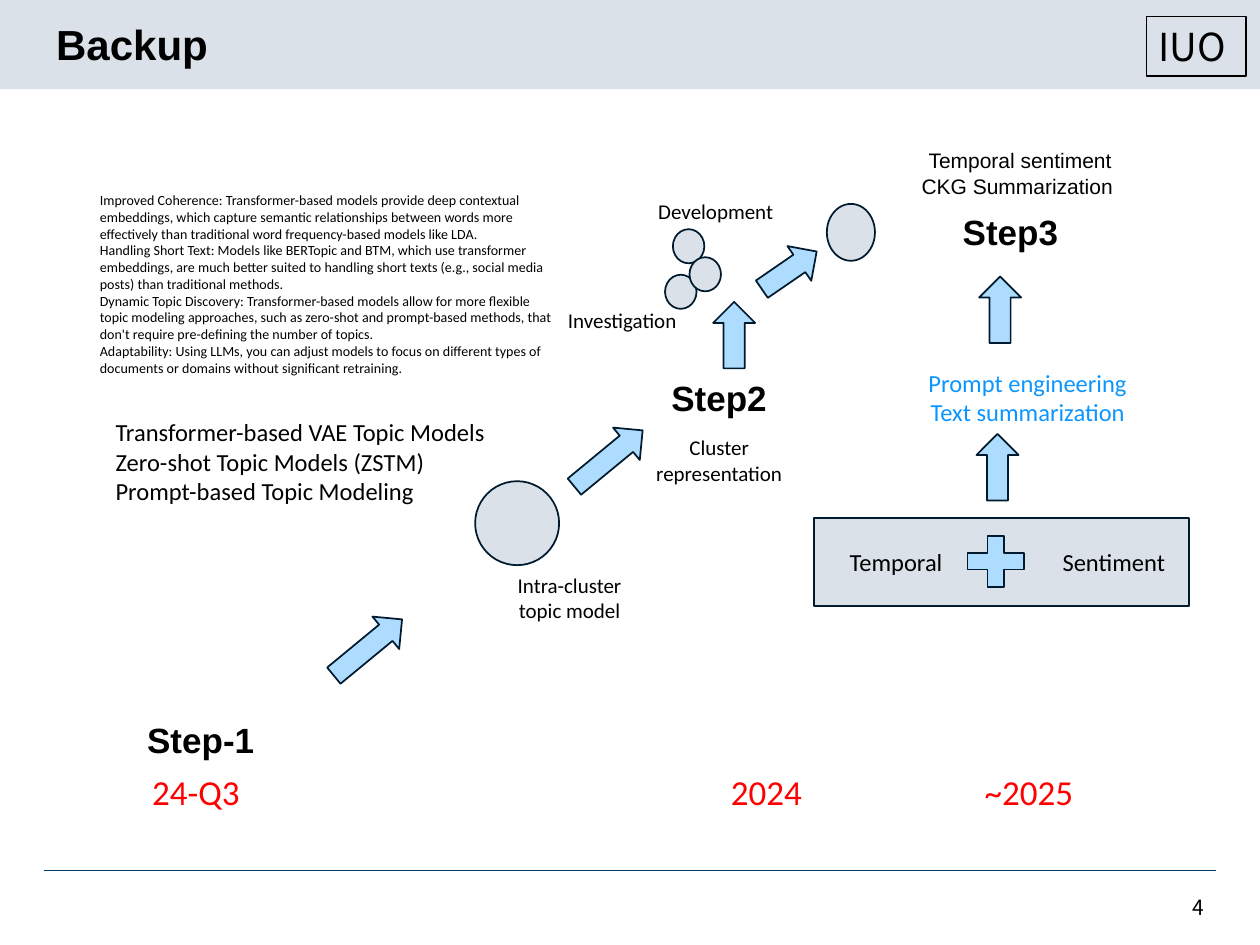
from pptx import Presentation
from pptx.dml.color import RGBColor
from pptx.enum import shapes, text
from pptx.util import Pt

COLORS = {
    "band": "DAE1E8", "outline": "001A2E", "arrow": "AEDCFF", "rule": "003B68",
    "ink": "000000", "date": "FF0000", "accent": "0B96FF",
}
SHAPE = shapes.MSO_SHAPE
LEFT, CENTER, RIGHT = text.PP_ALIGN.LEFT, text.PP_ALIGN.CENTER, text.PP_ALIGN.RIGHT

ADVANTAGES = [
    "Improved Coherence: Transformer-based models provide deep contextual embeddings, which capture "
    "semantic relationships between words more effectively than traditional word frequency-based "
    "models like LDA.",
    "Handling Short Text: Models like BERTopic and BTM, which use transformer embeddings, are much "
    "better suited to handling short texts (e.g., social media posts) than traditional methods.",
    "Dynamic Topic Discovery: Transformer-based models allow for more flexible topic modeling "
    "approaches, such as zero-shot and prompt-based methods, that don't require pre-defining the "
    "number of topics.",
    "Adaptability: Using LLMs, you can adjust models to focus on different types of documents or "
    "domains without significant retraining.",
]


def rgb(name):
    return RGBColor.from_string(COLORS[name])


def place(box, left, top, width, height):
    """Turn a position relative to the region's corner into slide lengths."""
    return [Pt(value) for value in (box[0] + left, box[1] + top, width, height)]


def add_text(page, box, at, lines, size, font="Calibri", color="ink", bold=False,
             align=CENTER, wrap=True, middle=False):
    label = page.shapes.add_textbox(*place(box, *at))
    frame = label.text_frame
    frame.word_wrap = wrap
    if middle:
        frame.vertical_anchor = text.MSO_ANCHOR.MIDDLE
    frame.text = "\n".join(lines)
    for para in frame.paragraphs:
        para.alignment = align
        for span in para.runs:
            span.font.size = Pt(size)
            span.font.name = font
            span.font.bold = bold
            span.font.color.rgb = rgb(color)
    return label


def add_step(page, box, left, top, name, width=70):
    add_text(page, box, (left, top, width, 31.5), [name], 20, "Arial",
             bold=True, align=LEFT, wrap=False)


def add_figure(page, box, kind, at, fill="band", line="outline", weight=1):
    figure = page.shapes.add_shape(kind, *place(box, *at))
    figure.shadow.inherit = False
    if fill:
        figure.fill.solid()
        figure.fill.fore_color.rgb = rgb(fill)
    else:
        figure.fill.background()
    if line:
        figure.line.color.rgb = rgb(line)
        figure.line.width = Pt(weight)
    else:
        figure.line.fill.background()
    return figure


def add_arrow(page, box, left, top, angle=270, length=38):
    arrow = add_figure(page, box, SHAPE.RIGHT_ARROW, (left, top, length, 24), "arrow")
    arrow.rotation = angle


def add_header(page, box):
    add_figure(page, box, SHAPE.RECTANGLE, (0, 0, 720, 51), line=None)
    stamp = (655, 9.5, 57, 34)
    add_figure(page, box, SHAPE.RECTANGLE, stamp, None, "ink", 0.75)
    add_text(page, box, stamp, ["IUO"], 22, "Noto Sans CJK JP", align=LEFT, wrap=False)
    title = add_text(page, box, (25, 13.5, 646.5, 26), ["Backup"], 24, "Arial",
                     bold=True, align=LEFT, middle=True)
    title.text_frame.margin_top = title.text_frame.margin_bottom = 0
    title.text_frame.paragraphs[0].line_spacing = 0.9


def add_footer(page, box):
    left, top = box
    rule = page.shapes.add_connector(shapes.MSO_CONNECTOR.STRAIGHT,
                                     Pt(left), Pt(top), Pt(left + 670), Pt(top))
    rule.line.color.rgb = rgb("rule")
    rule.line.width = Pt(1)
    properties = rule.line._get_or_add_ln().getparent()
    properties.append(properties.makeelement(
        "{http://schemas.openxmlformats.org/drawingml/2006/main}effectLst", {}))
    add_text(page, box, (632.5, 6.5, 37.5, 29), ["4"], 12, "Noto Sans CJK JP",
             align=RIGHT, middle=True)


def add_topic_models(page, box):
    add_text(page, box, (0, 0, 276.5, 114), ADVANTAGES, 8, align=LEFT)
    add_text(page, box, (9, 129, 238, 58),
             ["Transformer-based VAE Topic Models", "Zero-shot Topic Models (ZSTM)",
              "Prompt-based Topic Modeling"], 14, align=LEFT)
    add_figure(page, box, SHAPE.OVAL, (221.5, 169, 48, 48))
    add_text(page, box, (233.5, 217.5, 84, 36), ["Intra-cluster topic model"], 12)
    for left, top in ((135, 252), (272.5, 144)):
        add_arrow(page, box, left, top, 320.5, 50.5)
    add_step(page, box, 27, 301, "Step-1", 76)


def add_clusters(page, box):
    add_text(page, box, (59, 0, 84, 22), ["Development"], 12)
    for left, top in ((76.5, 21), (72, 47), (86, 37)):
        add_figure(page, box, SHAPE.OVAL, (left, top, 18, 19.5))
    add_figure(page, box, SHAPE.OVAL, (164.5, 6.5, 27.5, 32.5))
    add_text(page, box, (0, 62, 95, 22), ["Investigation"], 12)
    add_arrow(page, box, 92.5, 69.5)
    add_arrow(page, box, 124, 32.5, 325.5)
    add_step(page, box, 68.5, 101.5, "Step2")
    add_text(page, box, (55.5, 135, 95, 36), ["Cluster representation"], 12)


def add_summarization(page, box):
    add_text(page, box, (49.5, 0, 139, 36), ["Temporal sentiment", "CKG Summarization "],
             12, "Arial")
    add_step(page, box, 79, 35.5, "Step3")
    add_arrow(page, box, 88.5, 84)
    add_text(page, box, (49.5, 125.5, 147.5, 41),
             ["Prompt engineering", "Text summarization"], 14, color="accent")
    add_arrow(page, box, 87, 174)
    add_figure(page, box, SHAPE.RECTANGLE, (1, 215, 214.5, 50.5))
    add_text(page, box, (0.5, 228, 95, 24.5), ["Temporal"], 14)
    add_figure(page, box, SHAPE.MATH_PLUS, (83, 220, 44, 39.5), "arrow")
    add_text(page, box, (128, 228, 89, 24.5), ["Sentiment"], 14)


def add_timeline(page, box):
    for left, date in ((0, "24-Q3"), (326, "2024"), (476, "~2025")):
        add_text(page, box, (left, 0, 70, 31.5), [date], 20, color="date")


def main():
    deck = Presentation()
    deck.slide_width, deck.slide_height = Pt(720), Pt(540)
    page = deck.slides.add_slide(deck.slide_layouts[6])
    add_header(page, (0, 0))
    add_footer(page, (25, 497.5))
    add_topic_models(page, (50, 106))
    add_clusters(page, (308, 110))
    add_summarization(page, (464, 81))
    add_timeline(page, (77, 436.5))
    deck.save("out.pptx")


if __name__ == "__main__":
    main()
